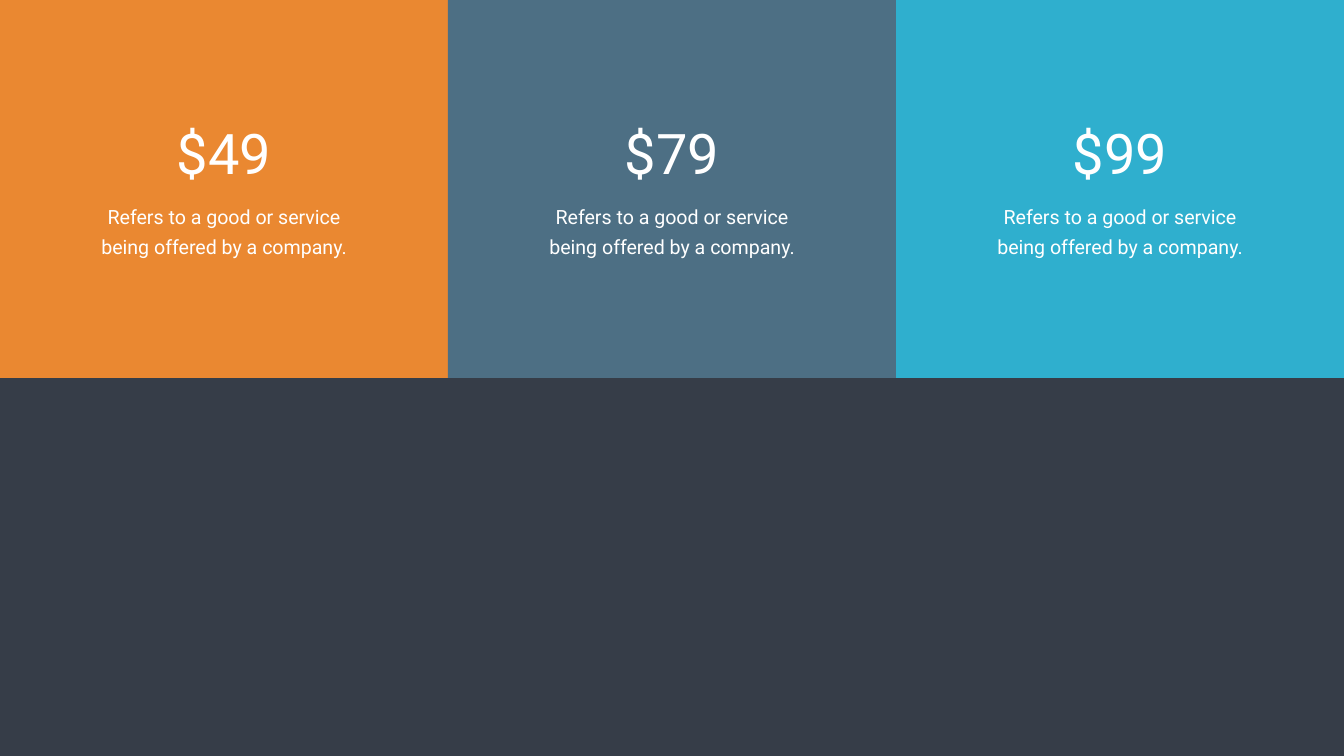
"""Build a pricing slide with three coloured panels."""
from pptx import Presentation
from pptx import util as u
from pptx.dml.color import RGBColor
from pptx.enum import shapes, text

ORANGE = RGBColor(0xEA, 0x88, 0x31)
SLATE = RGBColor(0x4D, 0x6F, 0x84)
CYAN = RGBColor(0x2F, 0xAF, 0xCE)
NAVY = RGBColor(0x36, 0x3D, 0x48)
WHITE = RGBColor(0xFF, 0xFF, 0xFF)

DESCRIPTION = "Refers to a good or service being offered by a company."
PLANS = [("$49", ORANGE), ("$79", SLATE), ("$99", CYAN)]

deck = Presentation()
deck.slide_width = u.Cm(67.72)
deck.slide_height = u.Cm(38.1)
page = deck.slides.add_slide(deck.slide_layouts[6])
page.background.fill.solid()
page.background.fill.fore_color.rgb = NAVY

panel_width = deck.slide_width // len(PLANS)
panel_height = deck.slide_height // 2


def add_centred_text(content, *, center, top, width, height, size,
                     wrap=True, margins=(0.25, 0.13), line_spacing=None):
    box = page.shapes.add_textbox(center - width // 2, top, width, height)
    frame = box.text_frame
    frame.word_wrap = wrap
    frame.auto_size = text.MSO_AUTO_SIZE.SHAPE_TO_FIT_TEXT
    frame.margin_left = frame.margin_right = u.Cm(margins[0])
    frame.margin_top = frame.margin_bottom = u.Cm(margins[1])
    para = frame.paragraphs[0]
    para.alignment = text.PP_ALIGN.CENTER
    para.line_spacing = line_spacing
    span = para.add_run()
    span.text = content
    span.font.name = "Roboto"
    span.font.size = u.Pt(size)
    span.font.color.rgb = WHITE


for index, (price, color) in enumerate(PLANS):
    left = index * panel_width
    center = left + panel_width // 2
    panel = page.shapes.add_shape(
        shapes.MSO_SHAPE.RECTANGLE, left, 0, panel_width, panel_height)
    panel.shadow.inherit = False
    panel.fill.solid()
    panel.fill.fore_color.rgb = color
    panel.line.fill.background()
    add_centred_text(price, center=center, top=u.Cm(5.82), width=u.Cm(5.33),
                     height=u.Cm(3.68), size=80, wrap=False)
    add_centred_text(DESCRIPTION, center=center, top=u.Cm(9.7),
                     width=u.Cm(13.84), height=u.Cm(3.53), size=28,
                     margins=(0.61, 0.3), line_spacing=u.Pt(43))

deck.save("out.pptx")
